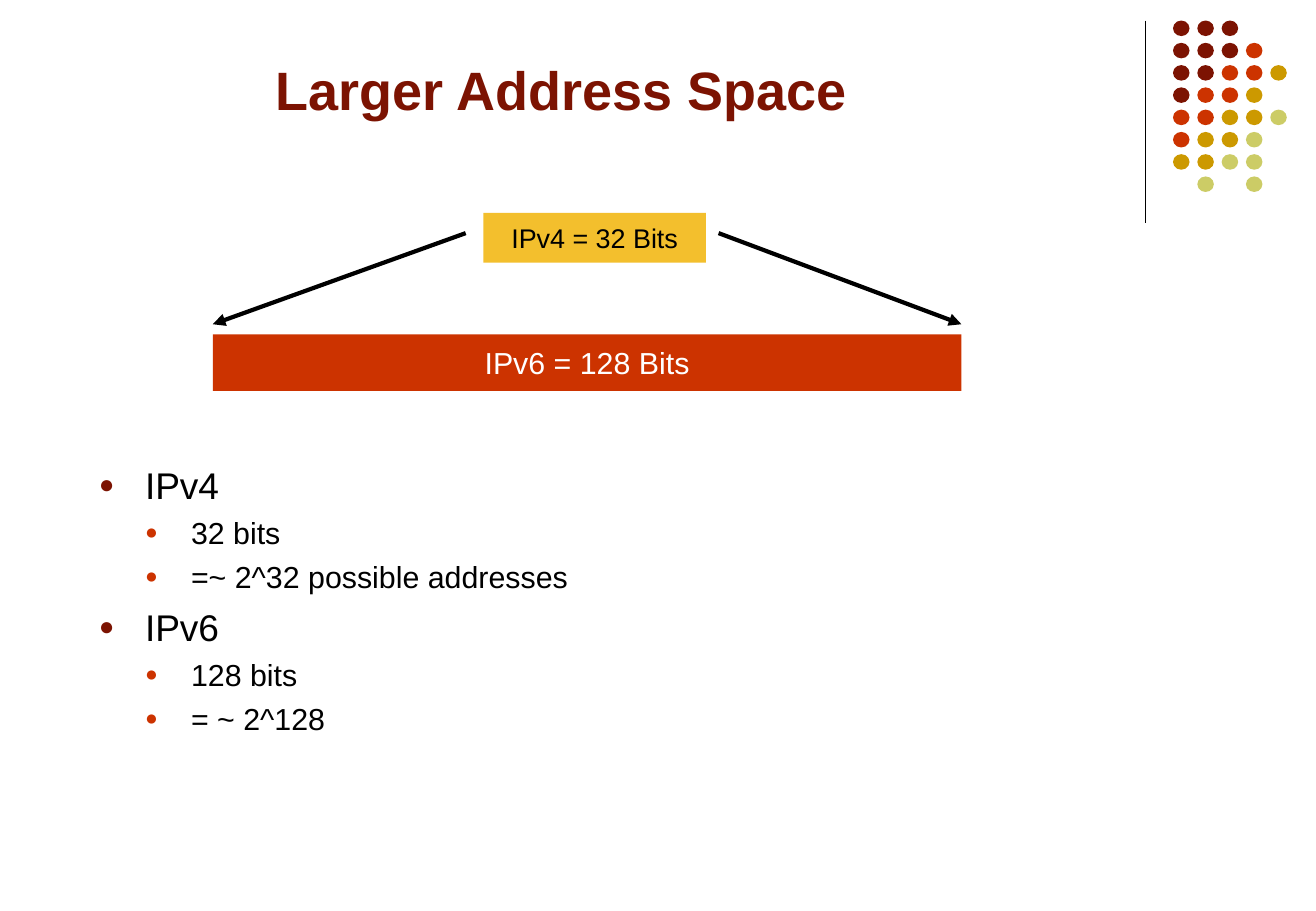
from lxml.etree import SubElement as Sub
from pptx import Presentation
from pptx.dml.color import RGBColor
from pptx.enum.shapes import MSO_CONNECTOR as Line, MSO_SHAPE as Shape
from pptx.enum.text import MSO_ANCHOR as Anchor, MSO_AUTO_SIZE as Auto, PP_ALIGN as Align
from pptx.oxml.ns import qn
from pptx.util import Pt

MAROON = RGBColor(0x7C, 0x13, 0x02)
RED = RGBColor(0xCC, 0x33, 0x00)
GOLD = RGBColor(0xCC, 0x99, 0x00)
OLIVE = RGBColor(0xCC, 0xCC, 0x66)
AMBER = RGBColor(0xF3, 0xBF, 0x2D)
BLACK = RGBColor(0, 0, 0)
WHITE = RGBColor(0xFF, 0xFF, 0xFF)

TINTS = {"M": MAROON, "R": RED, "G": GOLD, "O": OLIVE}
DOTS = ["MMM", "MMMR", "MMRRG", "MRRG", "RRGGO", "RGGO", "GGOO", " O O"]
ITEMS = [
    (0, "IPv4"),
    (1, "32 bits"),
    (1, "=~ 2^32 possible addresses"),
    (0, "IPv6"),
    (1, "128 bits"),
    (1, "= ~ 2^128"),
]
LEVELS = [(22, 5.5, MAROON), (18, 4.5, RED)]


def place(shape, box):
    """Move a shape to a box given in points."""
    shape.left, shape.top, shape.width, shape.height = map(Pt, box)


def style(para, size, color, bold=False):
    """Set the font of a whole paragraph."""
    font = para.font
    font.name, font.size, font.bold = "Arial", Pt(size), bold
    font.color.rgb = color


def add_block(slide, kind, box, fill):
    """Add a flat filled shape without outline."""
    shape = slide.shapes.add_shape(kind, *map(Pt, box))
    shape.shadow.inherit = False
    shape.fill.solid()
    shape.fill.fore_color.rgb = fill
    shape.line.fill.background()
    return shape


def add_line(slide, start, end, width, arrow=False):
    """Draw a black line, with an arrowhead at its end if asked."""
    line = slide.shapes.add_connector(Line.STRAIGHT, *map(Pt, start + end))
    line.line.color.rgb = BLACK
    line.line.width = Pt(width)
    props = line._element.spPr
    if arrow:
        Sub(props.find(qn("a:ln")), qn("a:tailEnd"), type="triangle")
    Sub(props, qn("a:effectLst"))


def add_motif(slide, box):
    """Draw the corner rule and its grid of dots."""
    left, top, width, height = box
    add_line(slide, (left, top), (left, top + height), 0.75)
    wide, high = 9.8, 9.2
    across = (width - 16.5 - wide) / 4
    for row, marks in enumerate(DOTS):
        for col, mark in enumerate(marks):
            if mark in TINTS:
                spot = (left + 16.5 + col * across, top + row * 13.2, wide, high)
                add_block(slide, Shape.OVAL, spot, TINTS[mark])


def add_label(slide, box, text, size, fill, color):
    """Add a filled bar with centred text."""
    frame = add_block(slide, Shape.RECTANGLE, box, fill).text_frame
    frame.word_wrap = False
    frame.vertical_anchor = Anchor.MIDDLE
    frame.margin_left = frame.margin_right = Pt(6)
    frame.margin_top = frame.margin_bottom = Pt(3)
    para = frame.paragraphs[0]
    para.text, para.alignment = text, Align.CENTER
    style(para, size, color)


def add_diagram(slide, box):
    """Show the short address widening into the long one."""
    left, top, width, height = box
    right = left + width
    add_label(slide, (left + 160.5, top, 132, 29.5), "IPv4 = 32 Bits", 16, AMBER, BLACK)
    add_label(slide, (left, top + height - 33.5, width, 33.5), "IPv6 = 128 Bits", 18, RED, WHITE)
    for start, end in ((left + 150, left), (left + 300, right)):
        add_line(slide, (start, top + 12), (end, top + 66), 2.5, True)


def fill_title(title, box):
    """Set the slide heading."""
    place(title, box)
    frame = title.text_frame
    frame.auto_size, frame.vertical_anchor = Auto.NONE, Anchor.MIDDLE
    para = frame.paragraphs[0]
    para.text, para.alignment = "Larger Address Space", Align.LEFT
    style(para, 32, MAROON, True)


def add_bullet(para, level, color):
    """Give a paragraph its indent and coloured bullet."""
    props = para._p.get_or_add_pPr()
    props.set("marL", str(Pt(27.3 * (level + 1))))
    props.set("indent", str(Pt(-27.3)))
    Sub(Sub(props, qn("a:buClr")), qn("a:srgbClr"), val=str(color))
    Sub(props, qn("a:buSzPct"), val="70000")
    Sub(props, qn("a:buFont"), typeface="Arial")
    Sub(props, qn("a:buChar"), char="●")


def fill_body(body, box):
    """Set the two-level list."""
    place(body, box)
    frame = body.text_frame
    frame.auto_size, frame.vertical_anchor = Auto.NONE, Anchor.TOP
    for index, (level, text) in enumerate(ITEMS):
        para = frame.add_paragraph() if index else frame.paragraphs[0]
        size, gap, color = LEVELS[level]
        para.text, para.level = text, level
        add_bullet(para, level, color)
        para.space_before = Pt(gap if index else 0)
        style(para, size, BLACK)


def main():
    """Build the slide and save it."""
    deck = Presentation()
    deck.slide_width = Pt(780.48)
    deck.slide_height = Pt(540)
    slide = deck.slides.add_slide(deck.slide_layouts[1])
    add_motif(slide, (679.2, 12.2, 84, 120))
    add_diagram(slide, (126.2, 126.2, 444, 105.5))
    fill_body(slide.placeholders[1], (51.5, 270.3, 625, 234))
    fill_title(slide.shapes.title, (156.2, 29, 374.5, 48))
    deck.save("out.pptx")


if __name__ == "__main__":
    main()
